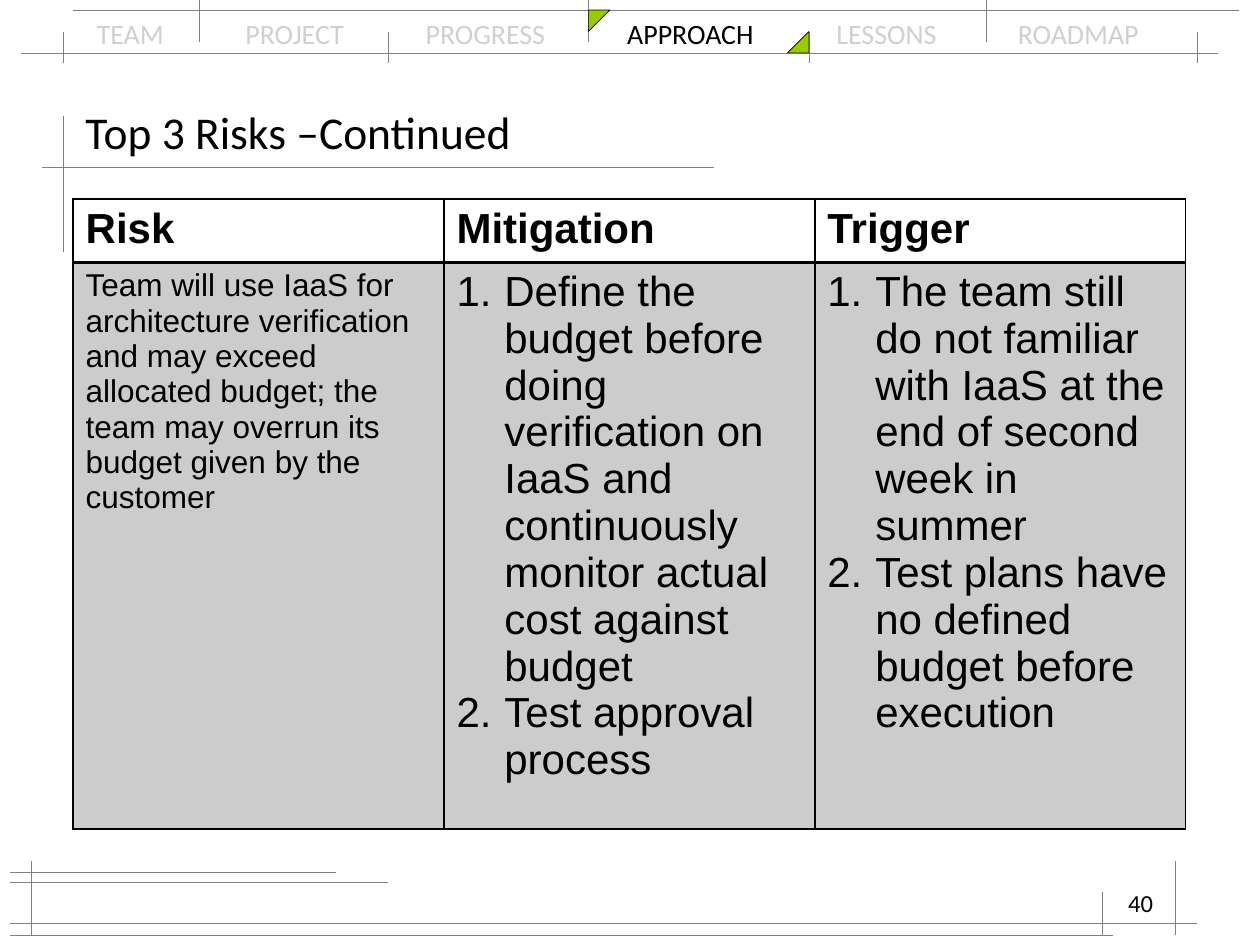
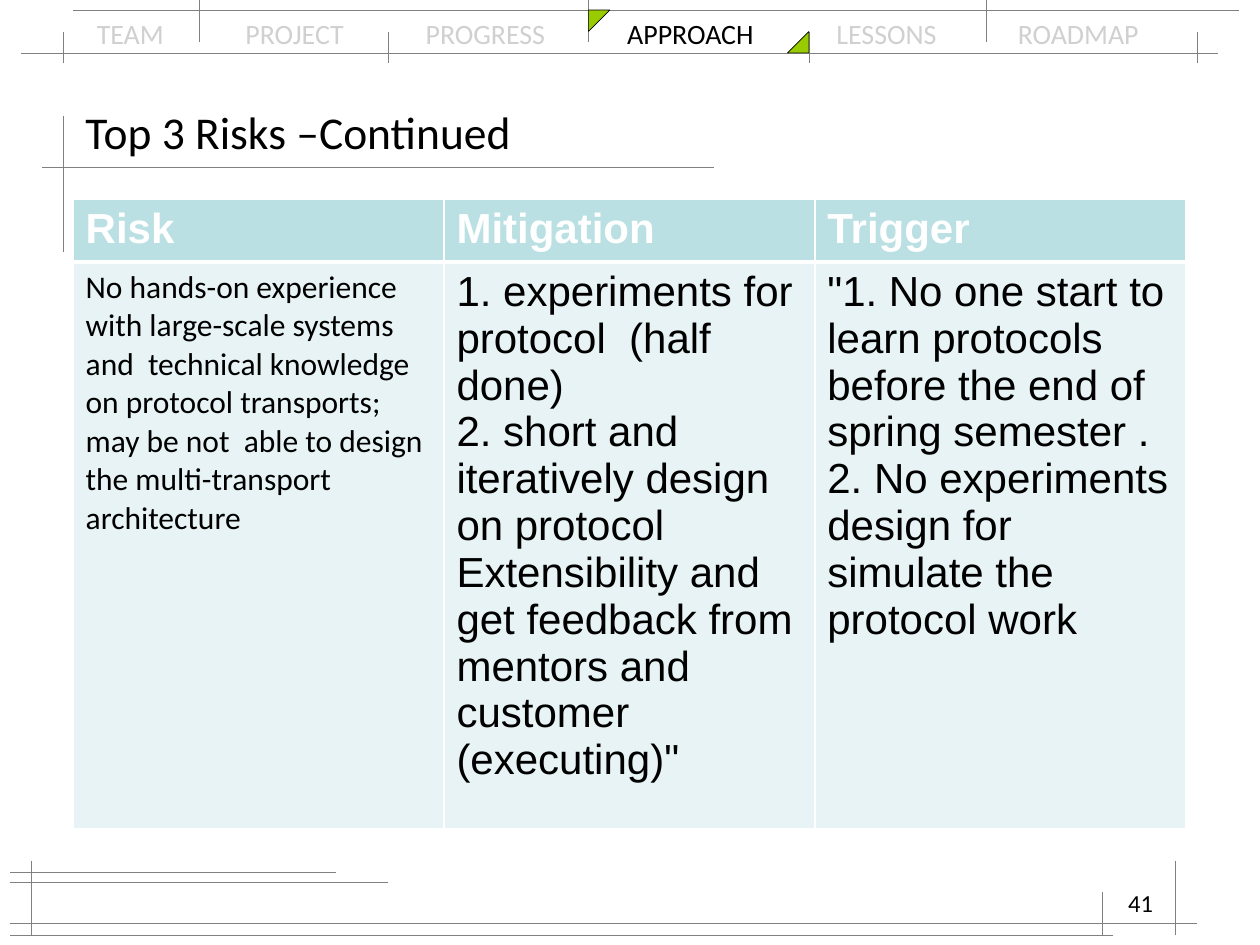
from lxml import etree
from pptx import Presentation
from pptx.dml.color import RGBColor
from pptx.enum.shapes import MSO_CONNECTOR as CONNECTOR, MSO_SHAPE as SHAPE
from pptx.enum.text import MSO_ANCHOR as ANCHOR, PP_ALIGN as ALIGN
from pptx.oxml.ns import qn
from pptx.util import Inches, Pt

BLACK = RGBColor(0x00, 0x00, 0x00)
WHITE = RGBColor(0xFF, 0xFF, 0xFF)
GUIDE_GREY = RGBColor(0x80, 0x80, 0x80)
INACTIVE_GREY = RGBColor(0xD0, 0xD0, 0xD0)
MARKER_GREEN = RGBColor(0x99, 0xCC, 0x00)
PALE_TEAL = RGBColor(0xE7, 0xF3, 0xF4)
TEAL = RGBColor(0xBB, 0xE0, 0xE3)

HEADING_FONT, BODY_FONT = "Calibri", "Arial"
HAIRLINE = Pt(0.3)

SECTIONS = ["TEAM", "PROJECT", "PROGRESS", "APPROACH", "LESSONS", "ROADMAP"]
SECTION_TABS = [1.18, 2.61, 4.21, 5.87, 7.31]
ACTIVE_SECTION = "APPROACH"

# Horizontal guides: y, left, right. Vertical guides: x, top, bottom.
HORIZONTAL_GUIDES = [
    (0.42, 0.17, 9.67), (0.08, 0.58, 9.83), (1.33, 0.33, 5.67), (7, 0.08, 3.08),
    (7.33, 0.08, 9.5), (6.92, 0.08, 2.67), (7.42, 0.08, 8.83),
]
VERTICAL_GUIDES = [
    (0.5, 0.92, 2), (0.25, 6.83, 7.42), (9.33, 6.83, 7.42), (8.75, 7.08, 7.42),
    *[(x, 0.25, 0.5) for x in (0.5, 3.08, 6.42, 9.5)],
    *[(x, 0, 0.33) for x in (1.58, 4.67, 7.83)],
]

TABLE_WIDTH = 8.83
ROW_HEIGHT = 0.41  # least height; rows grow with their text
NUMBER_INDENT = Inches(0.38)
HEADINGS = ["Risk", "Mitigation", "Trigger"]

OUTLINED = dict(border=BLACK, rule=2, heading_fill=None, heading_color=BLACK,
                body_fill=BLACK, body_alpha=20, numbered=True, risk_font=BODY_FONT)
TINTED = dict(border=WHITE, rule=3, heading_fill=TEAL, heading_color=WHITE,
              body_fill=PALE_TEAL, body_alpha=100, numbered=False, risk_font=HEADING_FONT)

RISKS = [
    (40, OUTLINED, [
        ["Team will use IaaS for architecture verification and may exceed allocated "
         "budget; the team may overrun its budget given by the customer"],
        ["Define the budget before doing verification on IaaS and continuously monitor "
         "actual cost against budget",
         "Test approval process"],
        ["The team still do not familiar with IaaS at the end of second week in summer",
         "Test plans have no defined budget before execution"],
    ]),
    (41, TINTED, [
        ["No hands-on experience with large-scale systems and  technical knowledge on "
         "protocol transports; may be not  able to design the multi-transport architecture"],
        ["1. experiments for protocol  (half done)",
         "2. short and iteratively design on protocol Extensibility and get feedback from "
         'mentors and customer (executing)"'],
        ['"1. No one start to learn protocols before the end of spring semester .',
         "2. No experiments design for simulate the protocol work"],
    ]),
]


def set_font(paragraph, size, name, color, bold=False):
    font = paragraph.font
    font.size, font.name, font.bold = Pt(size), name, bold
    font.color.rgb = color


def number_paragraph(paragraph):
    properties = paragraph._p.get_or_add_pPr()
    properties.set("marL", str(NUMBER_INDENT))
    properties.set("indent", str(-NUMBER_INDENT))
    etree.SubElement(properties, qn("a:buAutoNum"), type="arabicPeriod")


def set_borders(cell, color, widths):
    """Draw the cell's left, right, top and bottom borders, widths in points."""
    properties = cell._tc.get_or_add_tcPr()
    for side, width in zip("LRTB", widths):
        border = etree.SubElement(properties, qn(f"a:ln{side}"), w=str(Pt(width)))
        fill = etree.SubElement(border, qn("a:solidFill"))
        etree.SubElement(fill, qn("a:srgbClr"), val=str(color))


def set_cell_fill(cell, color, alpha=100):
    """Fill the cell; alpha is the opacity in percent."""
    if color is None:
        cell.fill.background()
        return
    cell.fill.solid()
    cell.fill.fore_color.rgb = color
    if alpha < 100:
        shade = cell._tc.tcPr.find(qn("a:solidFill")).find(qn("a:srgbClr"))
        etree.SubElement(shade, qn("a:alpha"), val=str(alpha * 1000))


class RiskDeck:
    def __init__(self):
        self.deck = Presentation()
        self.deck.slide_width, self.deck.slide_height = Inches(10), Inches(7.5)
        self.slide = None

    def new_slide(self, title, number):
        self.slide = self.deck.slides.add_slide(self.deck.slide_layouts[6])
        self.navigation()
        for y, left, right in HORIZONTAL_GUIDES:
            self.guide(left, y, right, y)
        for x, top, bottom in VERTICAL_GUIDES:
            self.guide(x, top, x, bottom)
        self.marker(4.67, 0.08, 90)
        self.marker(6.25, 0.25, 270)
        self.text(title, 0.58, 0.75, 8.83, 0.58, 26, anchor=ANCHOR.MIDDLE)
        self.text(str(number), 7.17, 7, 2.08, 0.5, 14, align=ALIGN.RIGHT)

    def text_frame(self, left, top, width, height):
        box = self.slide.shapes.add_textbox(
            Inches(left), Inches(top), Inches(width), Inches(height))
        box.text_frame.word_wrap = True
        return box.text_frame

    def text(self, words, left, top, width, height, size,
             align=ALIGN.LEFT, anchor=ANCHOR.TOP):
        frame = self.text_frame(left, top, width, height)
        frame.vertical_anchor = anchor
        paragraph = frame.paragraphs[0]
        paragraph.text, paragraph.alignment = words, align
        set_font(paragraph, size, HEADING_FONT, BLACK)

    def navigation(self):
        """List the sections on tab stops, with the active one in black."""
        paragraph = self.text_frame(0.67, 0.08, 8.67, 0.37).paragraphs[0]
        tabs = etree.SubElement(paragraph._p.get_or_add_pPr(), qn("a:tabLst"))
        for position in SECTION_TABS:
            etree.SubElement(tabs, qn("a:tab"), pos=str(Inches(position)), algn="l")
        set_font(paragraph, 16, HEADING_FONT, INACTIVE_GREY)
        for index, section in enumerate(SECTIONS):
            run = paragraph.add_run()
            run.text = f"\t{section}" if index else section
            run.font.color.rgb = BLACK if section == ACTIVE_SECTION else INACTIVE_GREY

    def guide(self, x1, y1, x2, y2):
        line = self.slide.shapes.add_connector(
            CONNECTOR.STRAIGHT, Inches(x1), Inches(y1), Inches(x2), Inches(y2))
        line.line.color.rgb, line.line.width = GUIDE_GREY, HAIRLINE
        etree.SubElement(line._element.spPr, qn("a:effectLst"))

    def marker(self, left, top, rotation):
        corner = self.slide.shapes.add_shape(
            SHAPE.RIGHT_TRIANGLE, Inches(left), Inches(top), Inches(0.17), Inches(0.17))
        corner.rotation = rotation
        corner.shadow.inherit = False
        corner.fill.solid()
        corner.fill.fore_color.rgb = MARKER_GREEN
        corner.line.color.rgb, corner.line.width = BLACK, HAIRLINE

    def risk_table(self, contents, look):
        table = self.slide.shapes.add_table(
            2, len(HEADINGS), Inches(0.58), Inches(1.58),
            Inches(TABLE_WIDTH), Inches(2 * ROW_HEIGHT)).table
        table.first_row = table.horz_banding = False
        for index, (heading, items) in enumerate(zip(HEADINGS, contents)):
            self.heading_cell(table.cell(0, index), heading, look)
            self.body_cell(table.cell(1, index), items, look, is_risk=index == 0)

    def heading_cell(self, cell, heading, look):
        set_borders(cell, look["border"], (1, 1, 1, look["rule"]))
        set_cell_fill(cell, look["heading_fill"])
        cell.text = heading
        set_font(cell.text_frame.paragraphs[0], 24, BODY_FONT, look["heading_color"], bold=True)

    def body_cell(self, cell, items, look, is_risk):
        set_borders(cell, look["border"], (1, 1, look["rule"], 1))
        set_cell_fill(cell, look["body_fill"], look["body_alpha"])
        cell.text = "\n".join(items)
        for paragraph in cell.text_frame.paragraphs:
            if is_risk:
                set_font(paragraph, 18, look["risk_font"], BLACK)
                continue
            if look["numbered"]:
                number_paragraph(paragraph)
            set_font(paragraph, 24, BODY_FONT, BLACK)


def main():
    risks = RiskDeck()
    for number, look, contents in RISKS:
        risks.new_slide("Top 3 Risks –Continued", number)
        risks.risk_table(contents, look)
    risks.deck.save("out.pptx")


if __name__ == "__main__":
    main()
